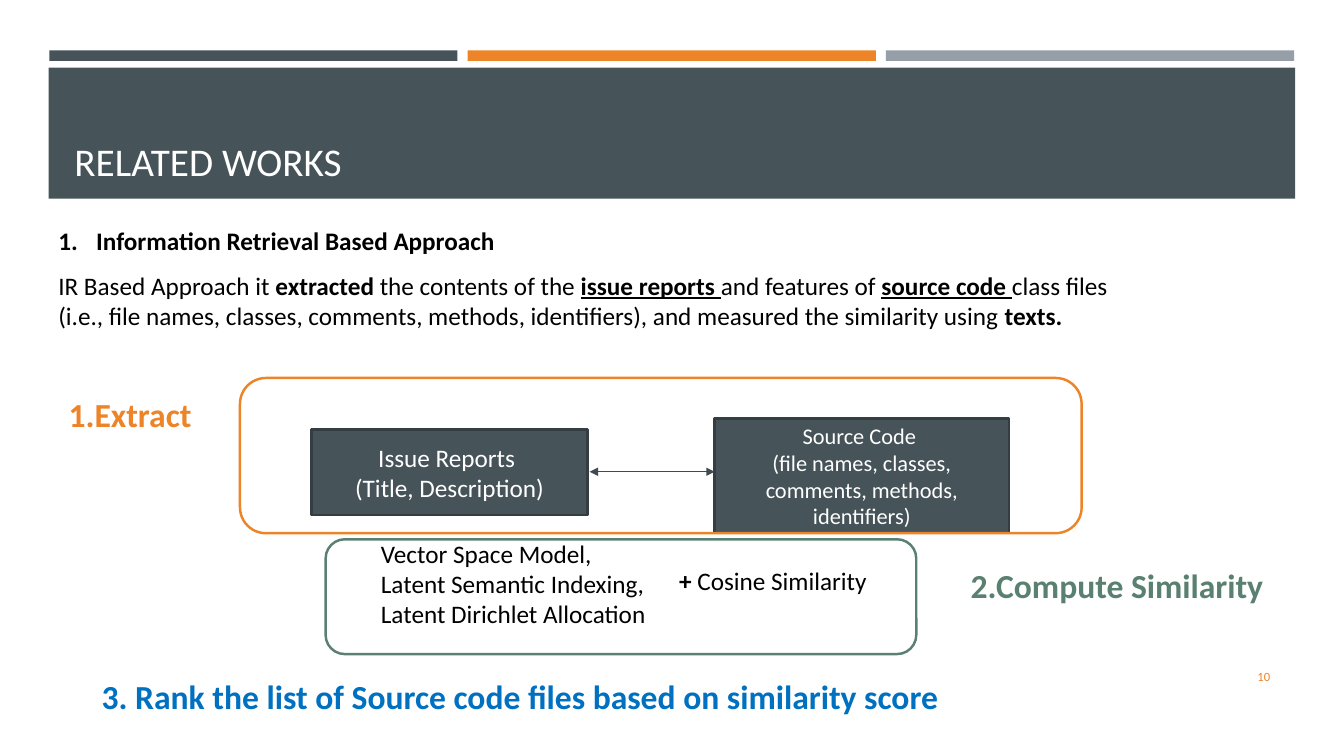
from lxml.etree import SubElement
from pptx import Presentation
from pptx.dml.color import RGBColor
from pptx.enum.shapes import MSO_CONNECTOR, MSO_SHAPE
from pptx.enum.text import MSO_ANCHOR, MSO_AUTO_SIZE, PP_ALIGN
from pptx.oxml.ns import qn
from pptx.util import Pt

COLORS = {
    "slate": "465359", "slate_edge": "343D42", "arrow": "3F4B50",
    "orange": "ED8428", "gray": "969FA7", "green": "5A8071",
    "blue": "0070C0", "black": "000000", "white": "FFFFFF",
}


class SlideBuilder:
    font_name = "Calibri"
    outline_width = 1.75

    def __init__(self, slide):
        self.slide = slide

    def color(self, name):
        return RGBColor.from_string(COLORS[name])

    def fill_text(self, frame, lines, size, color, align=PP_ALIGN.LEFT, bold=False,
                  anchor=MSO_ANCHOR.TOP, numbered=False):
        """Fill a text frame; a line is a string or a list of (text, "b"/"u" flags)."""
        frame.word_wrap = True
        frame.vertical_anchor = anchor
        for index, line in enumerate(lines):
            paragraph = frame.add_paragraph() if index else frame.paragraphs[0]
            paragraph.alignment = align
            if numbered:
                properties = paragraph._p.get_or_add_pPr()
                properties.set("marL", str(Pt(27)))
                properties.set("indent", str(Pt(-27)))
                SubElement(properties, qn("a:buFont"), typeface="+mj-lt")
                SubElement(properties, qn("a:buAutoNum"), type="arabicPeriod")
            font = paragraph.font
            font.name, font.size, font.bold = self.font_name, Pt(size), bold
            font.color.rgb = self.color(color)
            for text, flags in [(line, "")] if isinstance(line, str) else line:
                run = paragraph.add_run()
                run.text = text
                if "b" in flags:
                    run.font.bold = True
                if "u" in flags:
                    run.font.underline = True

    def title(self, text, left, top, width, height):
        title = self.slide.shapes.title
        title.left, title.top, title.width, title.height = map(Pt, (left, top, width, height))
        self.slide.shapes.element.append(title.element)  # in front of the band
        title.text_frame.auto_size = MSO_AUTO_SIZE.NONE
        self.fill_text(title.text_frame, [text], 28, "white", anchor=MSO_ANCHOR.BOTTOM)

    def text(self, box, lines, size=18, color="black", **style):
        shape = self.slide.shapes.add_textbox(*map(Pt, box))
        self.fill_text(shape.text_frame, lines, size, color, **style)

    def shape(self, box, fill=None, line=None, kind=MSO_SHAPE.RECTANGLE):
        shape = self.slide.shapes.add_shape(kind, *map(Pt, box))
        shape.shadow.inherit = False
        if fill:
            shape.fill.solid()
            shape.fill.fore_color.rgb = self.color(fill)
        else:
            shape.fill.background()
        if line:
            shape.line.color.rgb = self.color(line)
            shape.line.width = Pt(self.outline_width)
        else:
            shape.line.fill.background()
        return shape

    def card(self, box, lines, size):
        card = self.shape(box, "slate", "slate_edge")
        self.fill_text(card.text_frame, lines, size, "white", PP_ALIGN.CENTER,
                       anchor=MSO_ANCHOR.MIDDLE)

    def frame(self, box, line):
        self.shape(box, line=line, kind=MSO_SHAPE.ROUNDED_RECTANGLE)

    def double_arrow(self, start, end, y):
        arrow = self.slide.shapes.add_connector(
            MSO_CONNECTOR.STRAIGHT, Pt(start), Pt(y), Pt(end), Pt(y))
        arrow.line.color.rgb = self.color("arrow")
        arrow.line.width = Pt(1)
        line = arrow.line._get_or_add_ln()
        for tag in ("a:headEnd", "a:tailEnd"):
            SubElement(line, qn(tag), type="triangle")
        SubElement(arrow._element.spPr, qn("a:effectLst"))

    def step(self, box, label, color):
        self.text(box, [label], 24, color, align=PP_ALIGN.CENTER, bold=True)


def main():
    presentation = Presentation()
    presentation.slide_width, presentation.slide_height = Pt(960), Pt(540)
    slide = presentation.slides.add_slide(presentation.slide_layouts[5])
    builder = SlideBuilder(slide)

    for column, color in enumerate(("slate", "orange", "gray")):
        builder.shape((35.2 + column * 298.8, 36, 291.6, 7.6), color)
    builder.shape((34.8, 48.4, 890.4, 93.6), "slate")
    builder.title("RELATED WORKS", 46, 55.4, 868.4, 80)
    builder.text((831.6, 468.7, 82.8, 28.8), ["10"], 9, "orange",
                 align=PP_ALIGN.RIGHT, anchor=MSO_ANCHOR.MIDDLE)

    builder.card((222.5, 306.7, 197.3, 61.2), ["Issue Reports ", "(Title, Description)"], 18)
    builder.card((510.5, 298.8, 210.2, 82),
                 ["Source Code ", "(file names, classes, comments, methods, identifiers)"], 16)
    builder.double_arrow(421.2, 510.5, 337)
    builder.text((265, 380.9, 212.4, 72.7), [
        "Vector Space Model,", "Latent Semantic Indexing,", "Latent Dirichlet Allocation"])
    builder.text((478, 400.3, 210.2, 29), [[("+", "b"), (" Cosine Similarity", "")]])

    builder.text((34.6, 157.7, 434, 29), ["Information Retrieval Based Approach"],
                 bold=True, numbered=True)
    builder.text((34.6, 189.4, 880, 51), [
        [("IR Based Approach it ", ""), ("extracted", "b"), (" the contents of the ", ""),
         ("issue reports ", "bu"), ("and features of ", ""), ("source code ", "bu"),
         ("class files", "")],
        [("(i.e., file names, classes, comments, methods, identifiers), "
          "and measured the similarity using ", ""), ("texts.", "b")],
    ])

    builder.frame((171.4, 270, 601.2, 110.9), "orange")
    builder.step((23.8, 278, 138.2, 36), "1.Extract", "orange")
    builder.step((648.7, 400.3, 303.8, 36), "2.Compute Similarity ", "green")
    builder.step((-63.4, 479.5, 869.8, 36),
                 "3. Rank the list of Source code files based on similarity score", "blue")
    builder.frame((232.6, 385.2, 421.9, 82), "green")

    presentation.save("out.pptx")


if __name__ == "__main__":
    main()
